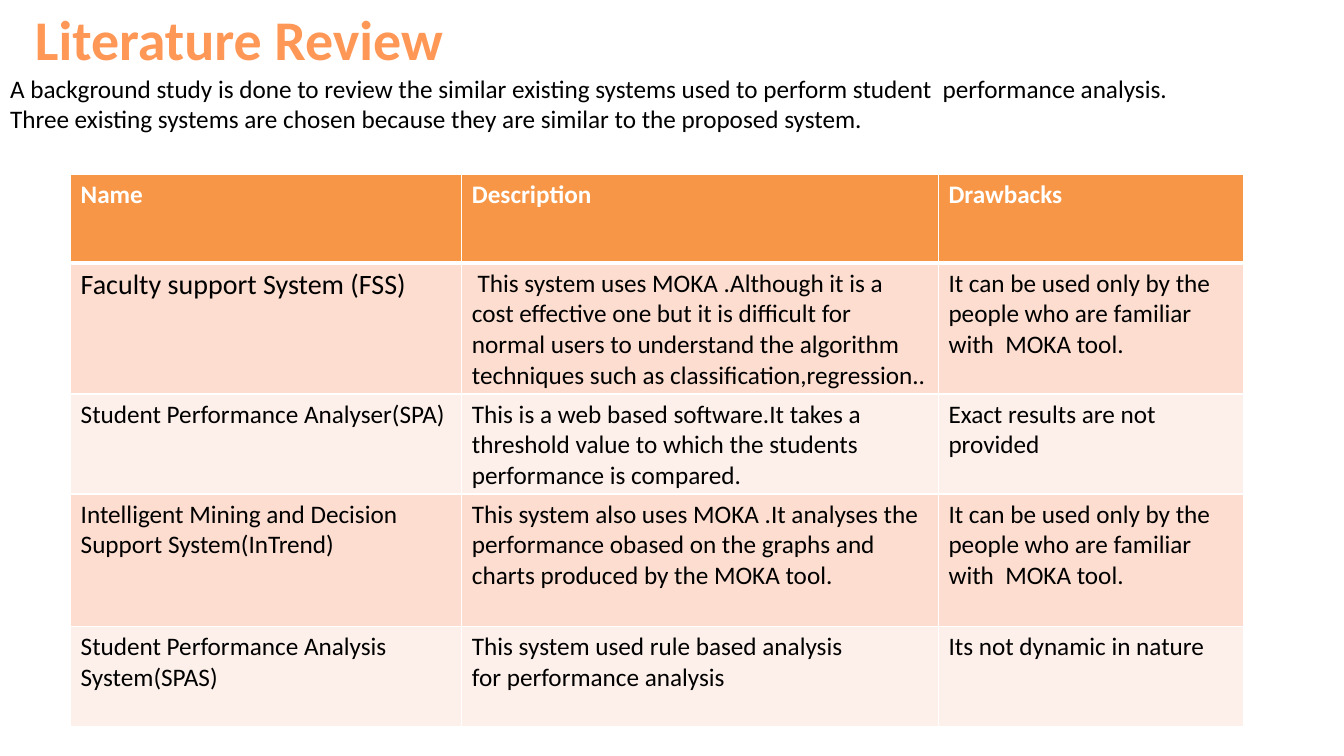
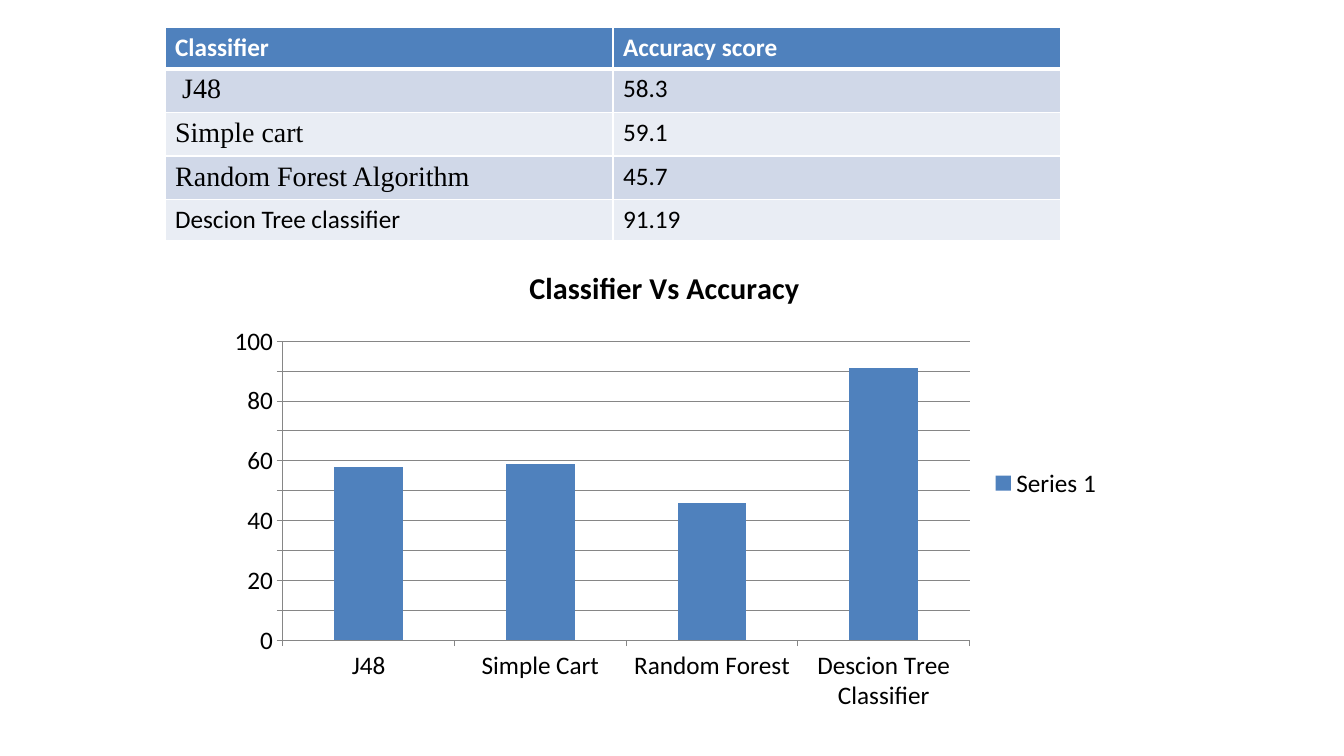
from lxml import etree
from pptx import Presentation
from pptx import util as u
from pptx.chart.data import CategoryChartData
from pptx.dml.color import RGBColor
from pptx.enum import chart as ch, text
from pptx.oxml.ns import qn

BLACK = RGBColor(0x00, 0x00, 0x00)
WHITE = RGBColor(0xFF, 0xFF, 0xFF)
PEACH = RGBColor(0xFF, 0x98, 0x56)
GREY = RGBColor(0x86, 0x86, 0x86)
BLUE = RGBColor(0x4F, 0x81, 0xBD)
WARM = (RGBColor(0xF7, 0x96, 0x46), RGBColor(0xFC, 0xDD, 0xCF), RGBColor(0xFD, 0xEF, 0xE9))
COOL = (BLUE, RGBColor(0xD0, 0xD8, 0xE8), RGBColor(0xE9, 0xED, 0xF4))
SANS, SERIF = "Calibri", "Times New Roman"


class Deck:
    """Hold the shared style and the slide being filled."""

    def __init__(self):
        self.prs = Presentation()
        self.prs.slide_width = u.Cm(33.87)
        self.prs.slide_height = u.Cm(19.05)

    def page(self, layout):
        self.slide = self.prs.slides.add_slide(self.prs.slide_layouts[layout])

    def style(self, font, size=18, color=BLACK, bold=False, face=SANS):
        font.name, font.size, font.bold = face, u.Pt(size), bold
        font.color.rgb = color

    def place(self, shape, box):
        shape.left, shape.top, shape.width, shape.height = map(u.Cm, box)
        shape.text_frame.auto_size = text.MSO_AUTO_SIZE.NONE

    def title(self, words, box):
        shape = self.slide.shapes.title
        self.place(shape, box)
        shape.text_frame.text = words
        para = shape.text_frame.paragraphs[0]
        para.alignment = text.PP_ALIGN.CENTER
        self.style(para.font, 40, PEACH, True)

    def body(self, lines, box):
        shape = self.slide.placeholders[1]
        self.place(shape, box)
        shape.text_frame.text = "\n".join(lines)
        for para in shape.text_frame.paragraphs:
            para.space_before = u.Pt(0)
            self.style(para.font)
            props = para._p.get_or_add_pPr()
            props.set("marL", "0")
            props.set("indent", "0")
            etree.SubElement(props, qn("a:buNone"))

    def edge(self, cell, side, width):
        props = cell._tc.get_or_add_tcPr()
        line = etree.SubElement(props, qn("a:ln" + side), w=str(u.Pt(width)))
        fill = etree.SubElement(line, qn("a:solidFill"))
        etree.SubElement(fill, qn("a:srgbClr"), val=str(WHITE))

    def table(self, rows, spot, cols, highs, tones, large, face=SANS):
        box = [u.Cm(n) for n in (*spot, sum(cols), sum(highs))]
        grid = self.slide.shapes.add_table(len(rows), len(cols), *box).table
        for col, wide in zip(grid.columns, cols):
            col.width = u.Cm(wide)
        for r, (row, high) in enumerate(zip(rows, highs)):
            grid.rows[r].height = u.Cm(high)
            head = r == 0
            tone = tones[0] if head else tones[2 - r % 2]
            for c, words in enumerate(row):
                cell = grid.cell(r, c)
                cell.text = words
                cell.margin_bottom = u.Cm(0.06)
                for side in "LRTB":
                    thick = (r, side) in ((0, "B"), (1, "T"))
                    self.edge(cell, side, 3 if thick else 1)
                cell.fill.solid()
                cell.fill.fore_color.rgb = tone
                big = c == 0 and r in large
                for para in cell.text_frame.paragraphs:
                    self.style(para.font, 20 if big else 18, WHITE if head else BLACK,
                               head, face if big else SANS)

    def chart(self, name, label, cats, vals, box):
        data = CategoryChartData()
        data.categories = cats
        data.add_series(label, vals)
        kind = ch.XL_CHART_TYPE.COLUMN_CLUSTERED
        chart = self.slide.shapes.add_chart(kind, *map(u.Cm, box), data).chart
        self.style(chart.font)
        chart.has_title = True
        chart.chart_title.text_frame.text = name
        self.style(chart.chart_title.text_frame.paragraphs[0].font, 21.6, bold=True)
        chart.has_legend = True
        chart.legend.position = ch.XL_LEGEND_POSITION.RIGHT
        chart.legend.include_in_layout = False
        plot = chart.plots[0]
        plot.gap_width = 150
        plot.vary_by_categories = False
        fill = plot.series[0].format.fill
        fill.solid()
        fill.fore_color.rgb = BLUE
        axis = chart.value_axis
        axis.minimum_scale, axis.maximum_scale, axis.major_unit = 0, 100, 10
        axis.has_major_gridlines = True
        for item in (axis, chart.category_axis, axis.major_gridlines):
            item.format.line.color.rgb = GREY
            item.format.line.width = u.Pt(0.75)
        for item in (axis, chart.category_axis):
            item.major_tick_mark = ch.XL_TICK_MARK.OUTSIDE
            item.minor_tick_mark = ch.XL_TICK_MARK.NONE


def review(deck):
    deck.page(1)
    deck.title("Literature Review", (0, 0, 12.04, 1.93))
    deck.body((
        "A background study is done to review the similar existing systems used to perform "
        "student  performance analysis.",
        "Three existing systems are chosen because they are similar to the proposed system.",
    ), (0, 1.72, 32.3, 1.8))
    limit = "It can be used only by the people who are familiar with  MOKA tool."
    rows = (
        ("Name", "Description", "Drawbacks"),
        ("Faculty support System (FSS)",
         " This system uses MOKA .Although it is a cost effective one but it is difficult for "
         "normal users to understand the algorithm techniques such as "
         "classification,regression..", limit),
        ("Student Performance Analyser(SPA)",
         "This is a web based software.It takes a threshold value to which the students "
         "performance is compared.", "Exact results are not provided"),
        ("Intelligent Mining and Decision Support System(InTrend)",
         "This system also uses MOKA .It analyses the performance obased on the graphs and "
         "charts produced by the MOKA tool.", limit),
        ("Student Performance Analysis System(SPAS)",
         "This system used rule based analysis\nfor performance analysis",
         "Its not dynamic in nature"),
    )
    deck.table(rows, (1.78, 4.4), (9.86, 12.01, 7.7), (2.23, 3.3, 2.52, 3.33, 2.52),
               WARM, (1,))


def scores(deck):
    deck.page(6)
    rows = (
        ("Classifier", "Accuracy score"),
        (" J48", "58.3"),
        ("Simple cart", "59.1"),
        ("Random Forest Algorithm", "45.7"),
        ("Descion Tree classifier", "91.19"),
    )
    deck.table(rows, (4.16, 0.69), (11.29, 11.29), (1.04, 1.1, 1.1, 1.1, 1.04),
               COOL, (1, 2, 3), SERIF)
    deck.chart("Classifier Vs Accuracy", "Series 1",
               ("J48", "Simple Cart", "Random Forest", "Descion Tree Classifier"),
               (58, 59, 46, 91), (5.46, 6.19, 22.58, 11.97))


def main():
    deck = Deck()
    review(deck)
    scores(deck)
    deck.prs.save("out.pptx")


if __name__ == "__main__":
    main()
